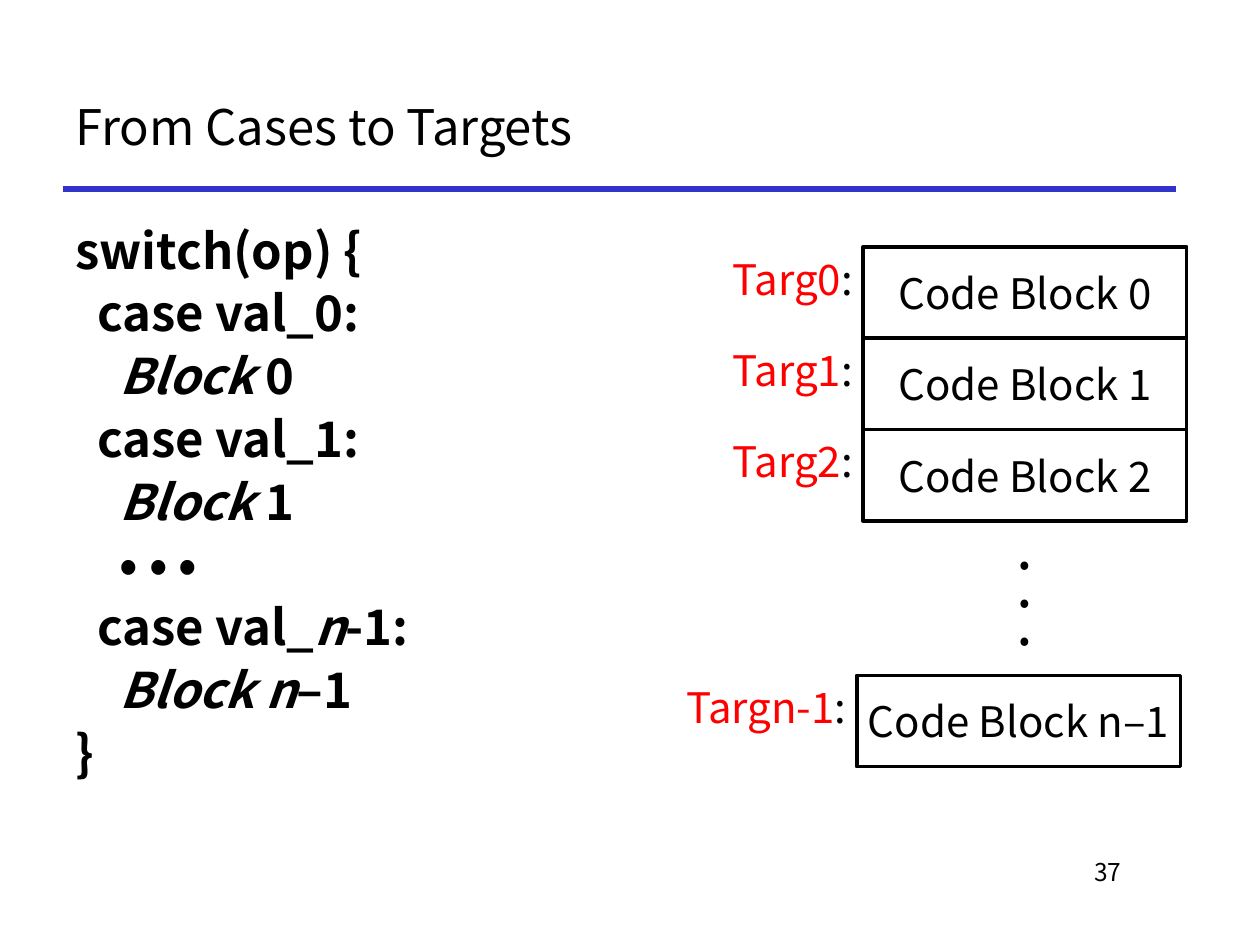
from dataclasses import dataclass

from lxml import etree
from pptx import Presentation
from pptx.dml.color import RGBColor
from pptx.enum.shapes import MSO_CONNECTOR, MSO_SHAPE
from pptx.enum.text import MSO_ANCHOR, PP_ALIGN
from pptx.oxml.ns import qn
from pptx.util import Pt

LEFT, CENTER, RIGHT = PP_ALIGN.LEFT, PP_ALIGN.CENTER, PP_ALIGN.RIGHT
TOP, MIDDLE = MSO_ANCHOR.TOP, MSO_ANCHOR.MIDDLE
RECTANGLE, STRAIGHT = MSO_SHAPE.RECTANGLE, MSO_CONNECTOR.STRAIGHT

FONT = "Noto Sans CJK KR"
COLORS = {"text": "000000", "target": "FF0000", "rule": "3333CC", "paper": "FFFFFF"}

BLOCK_WIDTH, BLOCK_HEIGHT = 185, 52.2
LABEL_HEIGHT, LABEL_OVERLAP = 36.5, 1.2
STACK_LEFT, STACK_TOP = 493.2, 141.1
INDENT_STEP = 12.6


@dataclass
class Run:
    text: str
    italic: bool = False
    color: str = "text"


@dataclass
class CodeLine:
    level: int
    runs: list[Run]


@dataclass
class Target:
    index: str
    block_index: str
    left: float
    top: float
    label_width: float


def rgb(name: str) -> RGBColor:
    return RGBColor.from_string(COLORS[name])


def write_runs(paragraph, runs: list[Run], size: float, bold: bool = False) -> None:
    for run in runs:
        piece = paragraph.add_run()
        piece.text = run.text
        formats = {"name": FONT, "size": Pt(size), "bold": bold, "italic": run.italic}
        for attribute, value in formats.items():
            setattr(piece.font, attribute, value)
        piece.font.color.rgb = rgb(run.color)


def write_lines(shape, lines: list[list[Run]], size: float, align=LEFT,
                anchor=TOP, wrap: bool = True) -> None:
    frame = shape.text_frame
    for attribute, value in {"word_wrap": wrap, "vertical_anchor": anchor}.items():
        setattr(frame, attribute, value)
    for number, runs in enumerate(lines):
        paragraph = frame.add_paragraph() if number else frame.paragraphs[0]
        paragraph.alignment = align
        write_runs(paragraph, runs, size)


def add_text(slide, left: float, top: float, width: float, height: float):
    return slide.shapes.add_textbox(Pt(left), Pt(top), Pt(width), Pt(height))


def add_box(slide, left: float, top: float, width: float, height: float,
            outlined: bool = True):
    box = slide.shapes.add_shape(RECTANGLE, Pt(left), Pt(top), Pt(width), Pt(height))
    box.shadow.inherit = False
    box.fill.solid()
    box.fill.fore_color.rgb = rgb("paper")
    if outlined:
        box.line.color.rgb = rgb("text")
        box.line.width = Pt(2)
    else:
        box.line.fill.background()
    return box


def add_rule(slide, left: float, right: float, y: float) -> None:
    rule = slide.shapes.add_connector(STRAIGHT, Pt(left), Pt(y), Pt(right), Pt(y))
    rule.line.color.rgb = rgb("rule")
    rule.line.width = Pt(3)
    etree.SubElement(rule._element.spPr, qn("a:effectLst"))


def add_code(slide, lines: list[CodeLine]) -> None:
    frame = add_text(slide, 36, 126, 642, 348).text_frame
    frame.word_wrap = True
    for number, line in enumerate(lines):
        paragraph = frame.add_paragraph() if number else frame.paragraphs[0]
        formats = {"line_spacing": 0.9, "space_before": Pt(5.6)}
        for attribute, value in formats.items():
            setattr(paragraph, attribute, value)
        paragraph._p.get_or_add_pPr().set("marL", str(Pt(line.level * INDENT_STEP)))
        write_runs(paragraph, line.runs, 28, bold=True)


def add_target(slide, target: Target) -> None:
    block = add_box(slide, target.left, target.top, BLOCK_WIDTH, BLOCK_HEIGHT)
    write_lines(block, [[Run(f"Code Block {target.block_index}")]], 24,
                CENTER, MIDDLE, wrap=False)
    label_left = target.left + LABEL_OVERLAP - target.label_width
    label = add_text(slide, label_left, target.top, target.label_width, LABEL_HEIGHT)
    write_lines(label, [[Run(f"Targ{target.index}", color="target"), Run(":")]], 24, RIGHT)


def numbered_case(index: int) -> list[CodeLine]:
    return [CodeLine(1, [Run(f"case val_{index}:")]),
            CodeLine(2, [Run("Block", italic=True), Run(f" {index}")])]


CODE = [
    CodeLine(0, [Run("switch(op) {")]),
    *numbered_case(0),
    *numbered_case(1),
    CodeLine(2, [Run("• • •")]),
    CodeLine(1, [Run("case val_"), Run("n", italic=True), Run("-1:")]),
    CodeLine(2, [Run("Block n", italic=True), Run("–1")]),
    CodeLine(0, [Run("}")]),
]

TARGETS = [
    *(Target(str(i), str(i), STACK_LEFT, STACK_TOP + i * BLOCK_HEIGHT, 85.7)
      for i in range(3)),
    Target("n-1", "n–1", 489.6, 385.9, 114.5),
]


def main() -> None:
    presentation = Presentation()
    presentation.slide_width, presentation.slide_height = Pt(720), Pt(540)
    slide = presentation.slides.add_slide(presentation.slide_layouts[6])

    # Heading and page number
    add_rule(slide, 36, 672, 108)
    write_lines(add_text(slide, 546, 486, 102, 36), [[Run("37")]], 14, RIGHT)
    write_lines(add_text(slide, 36, 36, 636, 72),
                [[Run("From Cases to Targets")]], 28, anchor=MIDDLE)

    # Switch statement
    add_code(slide, CODE)

    # Jump targets with their code blocks
    for target in TARGETS:
        add_target(slide, target)

    # Vertical ellipsis between the blocks
    ellipsis = add_box(slide, STACK_LEFT, 315.4, BLOCK_WIDTH, 56.2, outlined=False)
    write_lines(ellipsis, [[Run("•")]] * 3, 18, CENTER, MIDDLE, wrap=False)

    presentation.save("out.pptx")


if __name__ == "__main__":
    main()
